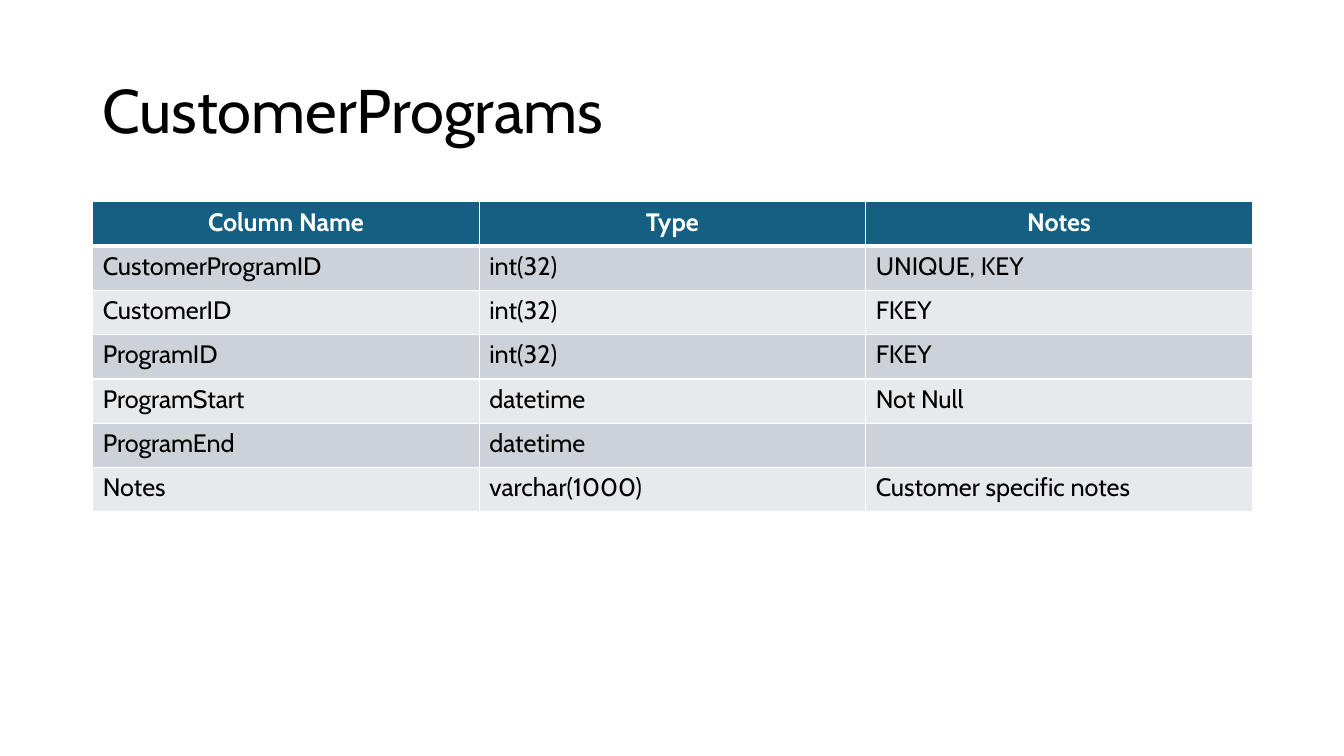
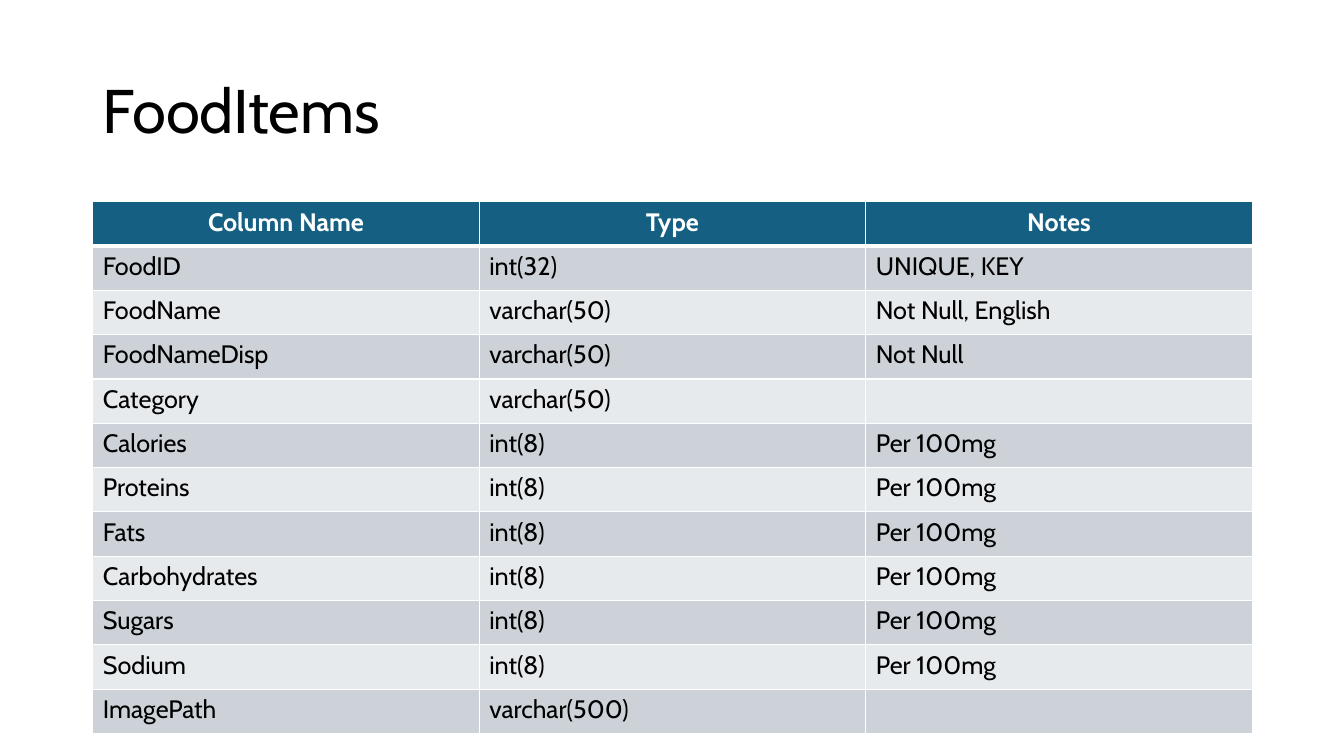
from lxml.etree import SubElement
from pptx import Presentation
from pptx.dml.color import RGBColor
from pptx.enum.text import MSO_ANCHOR as Anchor, PP_ALIGN as Align
from pptx.oxml.ns import qn
from pptx.util import Inches, Pt

# Shared style
FONT = "Cabin"
BLACK, WHITE = "000000", "FFFFFF"
HEADER_FILL = "156082"
BAND_FILLS = ("CCD2D8", "E7EAEC")
THIN, THICK = 0.96, 3
LEFT, WIDTH = 0.92, 11.5
TITLE_TOP, TITLE_HEIGHT = 0.4, 1.45
TABLE_TOP, ROW_HEIGHT = 2, 0.44
HEADINGS = ("Column Name", "Type", "Notes")

# Content: one entry per slide
PER_WEIGHT = "Per 100mg"
NUTRIENTS = ("Calories", "Proteins", "Fats", "Carbohydrates", "Sugars", "Sodium")
SCHEMAS = {
    "CustomerPrograms": [
        ("CustomerProgramID", "int(32)", "UNIQUE, KEY"),
        ("CustomerID", "int(32)", "FKEY"),
        ("ProgramID", "int(32)", "FKEY"),
        ("ProgramStart", "datetime", "Not Null"),
        ("ProgramEnd", "datetime", ""),
        ("Notes", "varchar(1000)", "Customer specific notes"),
    ],
    "FoodItems": [
        ("FoodID", "int(32)", "UNIQUE, KEY"),
        ("FoodName", "varchar(50)", "Not Null, English"),
        ("FoodNameDisp", "varchar(50)", "Not Null"),
        ("Category", "varchar(50)", ""),
        *[(nutrient, "int(8)", PER_WEIGHT) for nutrient in NUTRIENTS],
        ("ImagePath", "varchar(500)", ""),
    ],
}


def color(hex_code):
    return RGBColor.from_string(hex_code)


def write(frame, text, *, size=18, ink=BLACK, bold=False, align=Align.LEFT, spacing=None):
    """Put one formatted paragraph into a text frame."""
    para = frame.paragraphs[0]
    para.alignment = align
    para.line_spacing = spacing
    span = para.add_run()
    span.text = text
    span.font.name = FONT
    span.font.size = Pt(size)
    span.font.bold = bold
    span.font.color.rgb = color(ink)


def add_title(page, text):
    box = page.shapes.add_textbox(
        Inches(LEFT), Inches(TITLE_TOP), Inches(WIDTH), Inches(TITLE_HEIGHT))
    frame = box.text_frame
    frame.word_wrap = True
    frame.vertical_anchor = Anchor.MIDDLE
    write(frame, text, size=44, spacing=0.9)


def set_borders(cell, top, bottom):
    """Draw white cell borders; must run before the cell is filled."""
    properties = cell._tc.get_or_add_tcPr()
    sides = {"a:lnL": THIN, "a:lnR": THIN, "a:lnT": top, "a:lnB": bottom}
    for side, weight in sides.items():
        line = SubElement(properties, qn(side), w=str(Pt(weight)))
        fill = SubElement(line, qn("a:solidFill"))
        SubElement(fill, qn("a:srgbClr"), val=WHITE)


def fill_cell(cell, text, row):
    header = row == 0
    set_borders(cell, top=THICK if row == 1 else THIN, bottom=THICK if header else THIN)
    cell.fill.solid()
    cell.fill.fore_color.rgb = color(HEADER_FILL if header else BAND_FILLS[(row - 1) % 2])
    if header:
        write(cell.text_frame, text, ink=WHITE, bold=True, align=Align.CENTER)
    elif text:
        write(cell.text_frame, text)


def add_schema_table(page, records):
    rows = [HEADINGS, *records]
    table = page.shapes.add_table(
        len(rows), len(HEADINGS), Inches(LEFT), Inches(TABLE_TOP),
        Inches(WIDTH), Inches(ROW_HEIGHT * len(rows))).table
    for row, values in enumerate(rows):
        for column, text in enumerate(values):
            fill_cell(table.cell(row, column), text, row)


def main():
    deck = Presentation()
    deck.slide_width, deck.slide_height = Inches(13.33), Inches(7.5)
    blank = deck.slide_layouts[6]
    for title, records in SCHEMAS.items():
        page = deck.slides.add_slide(blank)
        add_title(page, title)
        add_schema_table(page, records)
    deck.save("out.pptx")


if __name__ == "__main__":
    main()
